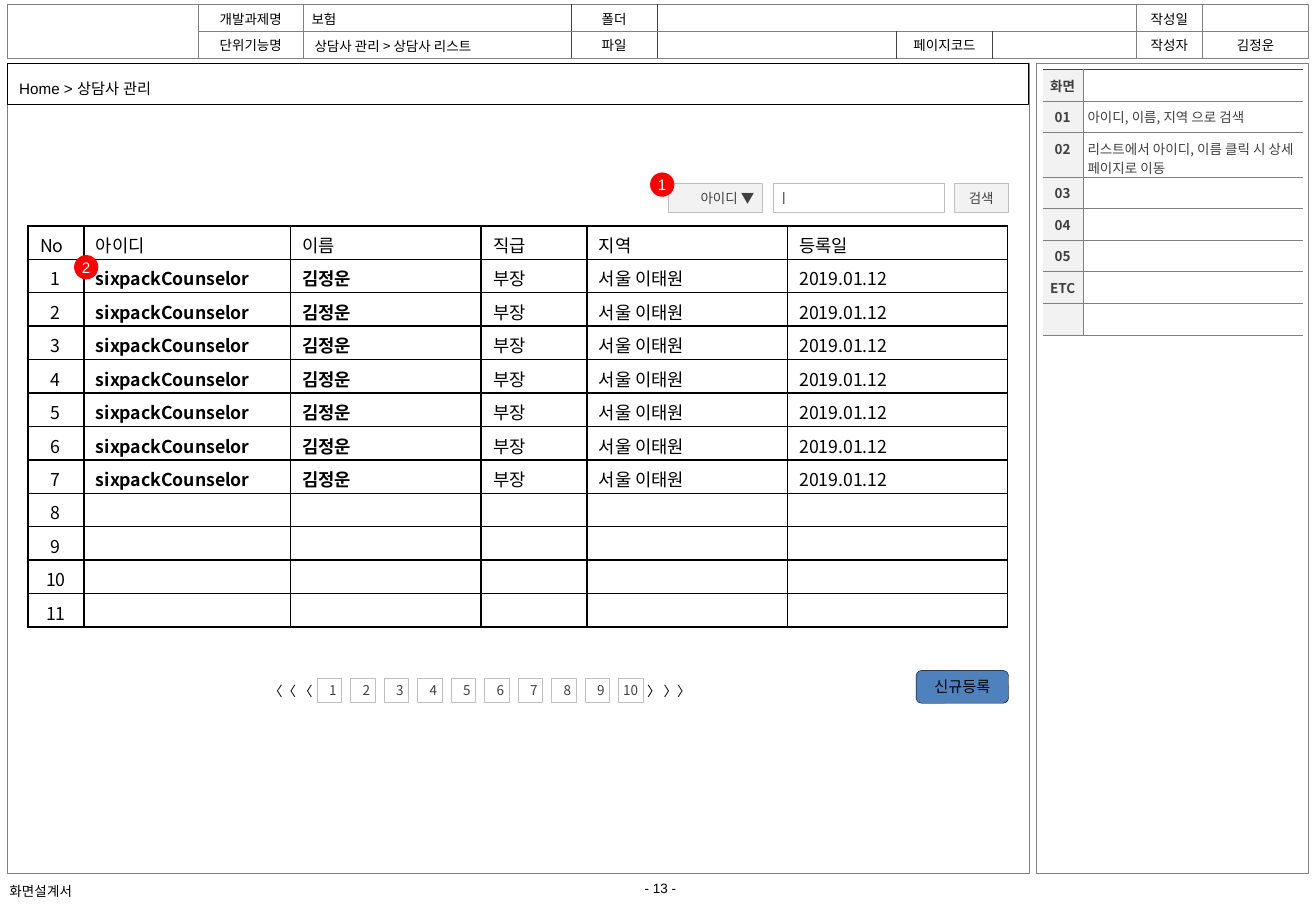
"""Build the counselor list screen specification slide."""
from lxml.etree import SubElement
from pptx import Presentation
from pptx.dml.color import RGBColor
from pptx.enum.shapes import MSO_SHAPE
from pptx.enum.text import MSO_ANCHOR, PP_ALIGN
from pptx.oxml.ns import qn
from pptx.util import Inches, Pt

KOREAN, LATIN = "Noto Sans CJK KR", "Arial"
BLACK, WHITE, DARK, GRAY, SILVER, PALE = "000000", "FFFFFF", "404040", "808080", "BFBFBF", "F2F2F2"
ALIGNMENTS = {"l": PP_ALIGN.LEFT, "c": PP_ALIGN.CENTER, "r": PP_ALIGN.RIGHT}
PLAIN_TABLE = "{2D5ABB26-0587-4C30-8999-92F81FD0307C}"

deck = Presentation()
deck.slide_width, deck.slide_height = Inches(10.83), Inches(7.5)
page = deck.slides.add_slide(deck.slide_layouts[6])


def write(frame, text, size, font, color, align, bold=False):
    """Fill a text frame with one formatted paragraph."""
    frame.text = text
    para = frame.paragraphs[0]
    para.alignment = ALIGNMENTS[align]
    for span in para.runs:
        span.font.size, span.font.name, span.font.bold = Pt(size), font, bold
        span.font.color.rgb = RGBColor.from_string(color)
        SubElement(span.font._element, qn("a:ea"), typeface=font)
    if not text:
        SubElement(para._p, qn("a:endParaRPr"), sz=str(int(size * 100)))


def add_box(place, text="", fill=None, line=None, size=8, font=KOREAN, color=DARK, align="c",
            shape=MSO_SHAPE.RECTANGLE, margins=(0.1, 0.05, 0.1, 0.05), width=0.25):
    """Add a preset shape, or a text box when shape is None."""
    area = [Inches(value) for value in place]
    if shape is None:
        box = page.shapes.add_textbox(*area)
    else:
        box = page.shapes.add_shape(shape, *area)
        box.shadow.inherit = False
        box.text_frame.vertical_anchor = MSO_ANCHOR.MIDDLE
        if fill:
            box.fill.solid()
            box.fill.fore_color.rgb = RGBColor.from_string(fill)
        else:
            box.fill.background()
        if line:
            box.line.color.rgb = RGBColor.from_string(line)
            box.line.width = Pt(width)
        else:
            box.line.fill.background()
    frame = box.text_frame
    frame.word_wrap = True
    frame.margin_left, frame.margin_top, frame.margin_right, frame.margin_bottom = map(Inches, margins)
    if text:
        write(frame, text, size, font, color, align)
    return box


page_number = add_box((5.18, 7.2, 0.51, 0.23), "- 13 -", font=LATIN, color=BLACK, shape=None)
page_number.text_frame.word_wrap = False
footer = add_box((-0.02, 7.22, 0.76, 0.24), "화면설계서", font=LATIN, color=BLACK, align="l", shape=None)
footer.text_frame.word_wrap = False
add_box((8.53, 0.52, 2.24, 6.67), fill=WHITE, line=GRAY, width=0.5)
add_box((0.06, 0.52, 8.41, 6.67), line=GRAY, width=0.5)
title = add_box((2.49, 0.26, 2.93, 0.24), "상담사 관리 > 상담사 리스트", color=BLACK, align="l", shape=None)
title.text_frame.vertical_anchor = MSO_ANCHOR.MIDDLE
breadcrumb = add_box((0.06, 0.52, 8.4, 0.34), "Home > 상담사 관리", line=BLACK, size=9, font=LATIN,
                     color=BLACK, align="l")
breadcrumb.text_frame.paragraphs[0].line_spacing = 1.5

header_rows = [
    ["", "개발과제명", " 보험", "폴더", "", "", "", "작성일", ""],
    ["", "단위기능명", "", "파일", "", "페이지코드", "", "작성자", "김정운"],
]
header_edges = {}
for row, boundaries in enumerate([(3, 4), (3, 4, 5, 6)]):
    for boundary in boundaries:
        header_edges[row, "L", boundary] = (DARK, 0.25)
        header_edges[row, "R", boundary - 1] = (DARK, 0.25)

note_rows = [["화면", ""], ["01", "아이디, 이름, 지역 으로 검색"],
             ["02", "리스트에서 아이디, 이름 클릭 시 상세 페이지로 이동"]]
note_rows += [[label, ""] for label in ("03", "04", "05", "ETC", "")]
note_edges = {(0, "T", column): (DARK, 0.5) for column in range(2)}
for row in range(len(note_rows)):
    note_edges[row, "L", 0] = note_edges[row, "R", 1] = None

counselor = ["sixpackCounselor", "김정운", "부장", "서울 이태원", "2019.01.12"]
list_rows = [["No", "아이디", "이름", "직급", "지역", "등록일"]]
list_rows += [[str(number)] + (counselor if number <= 7 else [""] * 5) for number in range(1, 12)]

tables = [
    dict(left=0.06, top=0.04, columns=[1.57, 0.87, 2.2, 0.71, 1.97, 0.79, 1.18, 0.55, 0.87], height=0.22,
         rows=header_rows, edges=header_edges, line=(GRAY, 0.5), size=8, color=BLACK, aligns="cclcccccc",
         bold=(), shaded=(), margins=[(0.04, 0.02)] * 9, merges=[(0, 0, 1, 0), (0, 4, 0, 6)],
         anchor=MSO_ANCHOR.MIDDLE),
    dict(left=8.58, top=0.57, columns=[0.33, 1.81], height=0.26,
         rows=note_rows, edges=note_edges, line=(GRAY, 0.25), size=8, color=DARK, aligns="cl",
         bold=(0,), shaded=(0,), margins=[(0, 0.05), (0.04, 0.05)], merges=[], anchor=MSO_ANCHOR.TOP),
    dict(left=0.23, top=1.86, columns=[0.46, 1.7, 1.57, 0.87, 1.65, 1.81], height=0.27,
         rows=list_rows, edges={}, line=(BLACK, 1), size=10.5, color=BLACK, aligns="clllll",
         bold=(1, 2), shaded=(), margins=[(0.1, 0.05)] * 6, merges=[], anchor=MSO_ANCHOR.TOP),
]
for plan in tables:
    rows, columns = plan["rows"], plan["columns"]
    table = page.shapes.add_table(len(rows), len(columns), Inches(plan["left"]), Inches(plan["top"]),
                                  Inches(sum(columns)), Inches(plan["height"] * len(rows))).table
    table.first_row = table.horz_banding = False
    table._tbl.tblPr.find(qn("a:tableStyleId")).text = PLAIN_TABLE
    for column, width in enumerate(columns):
        table.columns[column].width = Inches(width)
    for top, left, bottom, right in plan["merges"]:
        table.cell(top, left).merge(table.cell(bottom, right))
    for row, texts in enumerate(rows):
        table.rows[row].height = Inches(plan["height"])
        list_heading = rows is list_rows and row == 0
        for column, text in enumerate(texts):
            cell = table.cell(row, column)
            side_margin, end_margin = plan["margins"][column]
            cell.margin_left = Inches(side_margin)
            cell.margin_right = Inches(0 if rows is note_rows else side_margin)
            cell.margin_top = cell.margin_bottom = Inches(end_margin)
            cell.vertical_anchor = plan["anchor"]
            write(cell.text_frame, text, plan["size"], KOREAN, plan["color"],
                  "l" if list_heading else plan["aligns"][column],
                  column in plan["bold"] and not list_heading)
            properties = cell._tc.get_or_add_tcPr()
            for side in "LRTB":
                edge = plan["edges"].get((row, side, column), plan["line"])
                if edge:
                    line = SubElement(properties, qn(f"a:ln{side}"), w=str(Pt(edge[1])))
                    SubElement(SubElement(line, qn("a:solidFill")), qn("a:srgbClr"), val=edge[0])
            if column in plan["shaded"]:
                cell.fill.solid()
                cell.fill.fore_color.rgb = RGBColor.from_string(PALE)
            else:
                cell.fill.background()

add_box((7.54, 5.52, 0.76, 0.27), "신규등록", "4F81BD", BLACK, 9, LATIN, BLACK,
        shape=MSO_SHAPE.ROUNDED_RECTANGLE)
for number in range(1, 11):
    side_margin = 0.1 if number < 10 else 0
    add_box((2.61 + 0.2756 * (number - 1), 5.58, 0.2, 0.2), str(number), WHITE, SILVER,
            margins=(side_margin, 0.05, side_margin, 0.05))
for left, arrows in ((5.29, "〉 〉〉"), (2.18, "〈〈 〈")):
    add_box((left, 5.58, 0.43, 0.21), arrows, color=BLACK, shape=None, margins=(0, 0.04, 0, 0.04))

add_box((6.36, 1.51, 1.41, 0.24), "ㅣ", WHITE, SILVER, align="l", margins=(0.04, 0.05, 0.1, 0.05))
add_box((5.5, 1.51, 0.77, 0.24), "아이디 ▼", PALE, SILVER, align="r", margins=(0.1, 0.05, 0.06, 0.05))
add_box((7.85, 1.51, 0.45, 0.24), "검색", PALE, SILVER)
for left, top, marker in ((0.61, 2.1, "2"), (5.35, 1.42, "1")):
    add_box((left, top, 0.2, 0.2), marker, "FF0000", size=9, font=LATIN, color=WHITE,
            shape=MSO_SHAPE.OVAL, margins=(0, 0, 0, 0))

deck.save("out.pptx")
